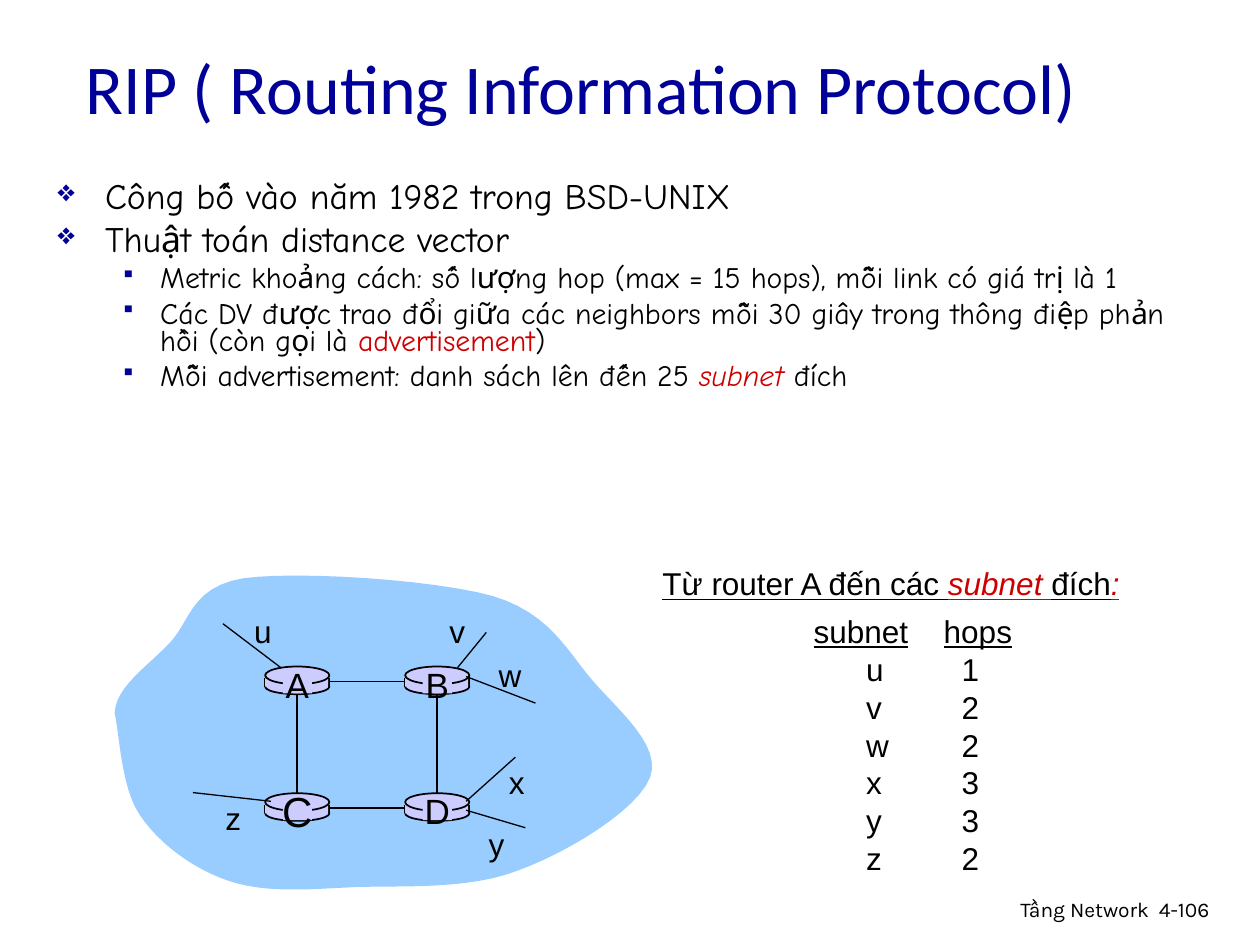
from dataclasses import dataclass
from lxml.etree import SubElement
from pptx import Presentation
from pptx.dml.color import RGBColor
from pptx.enum.shapes import MSO_CONNECTOR, MSO_SHAPE
from pptx.enum.text import MSO_ANCHOR, PP_ALIGN
from pptx.oxml.ns import qn
from pptx.util import Pt


@dataclass(frozen=True)
class Theme:
    ink: str = "000000"
    navy: str = "000099"
    red: str = "CC0000"
    cloud: str = "99CCFF"
    router: str = "CCCCFF"
    title_font: str = "Calibri"
    body_font: str = "Comic Neue"
    label_font: str = "Arial"
    footer_font: str = "Karla"
    title_size: float = 40
    body_sizes: tuple = (20.4, 17)
    label_size: float = 18
    router_size: float = 20
    footer_size: float = 12


THEME = Theme()

# Content: a run is (text, style), style "" plain, "r" red, "i" italic, "u" underlined
TITLE = "RIP ( Routing Information Protocol)"
BULLETS = [
    (0, [("Công bố vào năm 1982 trong BSD-UNIX", "")]),
    (0, [("Thuật toán distance vector", "")]),
    (1, [("Metric khoảng cách: số lượng hop (max = 15 hops), mỗi link có giá trị là 1", "")]),
    (1, [("Các DV được trao đổi giữa các neighbors mỗi 30 giây trong thông điệp "
          "phản hồi (còn gọi là ", ""), ("advertisement", "r"), (")", "")]),
    (1, [("Mỗi advertisement: danh sách lên đến 25 ", ""), ("subnet ", "ri"), ("đích", "")]),
]
HOPS_HEADING = [("Từ router A đến các ", "u"), ("subnet ", "uri"), ("đích", "u"), (":", "uri")]
HOPS_COLUMNS = ("subnet", "hops")
HOPS = [("u", 1), ("v", 2), ("w", 2), ("x", 3), ("y", 3), ("z", 2)]
FOOTER = "Tầng Network"
PAGE = "4-106"

# Network: routers by grid cell (column, row) and letter size
ROUTERS = {"A": (0, 0, THEME.router_size), "B": (1, 0, THEME.router_size),
           "C": (0, 1, 24), "D": (1, 1, THEME.router_size)}
LINKS = [("A", "B"), ("C", "D"), ("A", "C"), ("B", "D")]
# Subnet: label left and top, then the two ends of its line
SUBNETS = {
    "u": ((138.2, 346.3), (160.6, 381.6), (127.4, 356.4)),
    "v": ((249.8, 346.3), (261.4, 381.6), (277.9, 361.4)),
    "w": ((277.9, 371.5), (266.4, 386.6), (306, 401.8)),
    "x": ((283.7, 432.7), (266.4, 457.9), (294.5, 432.7)),
    "y": ((272.2, 468), (266.4, 463), (300.2, 473)),
    "z": ((121.7, 452.9), (154.8, 457.9), (110.2, 452.9)),
}
# Cloud outline: start, then cubic segments (control, control, end)
CLOUD_START = (65.5, 407.5)
CLOUD_CURVES = [
    ((66.2, 392.4), (84.2, 380.9), (96.5, 367.9)),
    ((108.7, 355.7), (108.7, 335.5), (139, 330.5)),
    ((169.9, 326.2), (247.7, 331.2), (281.5, 340.6)),
    ((314.6, 350.6), (324, 372.2), (339.1, 389.5)),
    ((354.2, 406.8), (378, 426.2), (371.5, 444.2)),
    ((364.3, 463), (324, 487.4), (295.9, 497.5)),
    ((268.6, 508.3), (231.1, 506.2), (203.8, 506.9)),
    ((175.7, 508.3), (151.2, 510.5), (130.3, 503.3)),
    ((109.4, 496.1), (90.7, 481.7), (79.9, 465.8)),
    ((69.1, 450), (68.4, 419.8), (65.5, 407.5)),
]
COLUMN_X, ROW_Y = (151.5, 231.5), (380.9, 453.3)
ROUTER_W, ROUTER_CENTRE_Y = 36.7, 10

prs = Presentation()
prs.slide_width, prs.slide_height = Pt(720), Pt(540)
slide = prs.slides.add_slide(prs.slide_layouts[6])
shapes = slide.shapes


def rgb(code):
    return RGBColor.from_string(code)


def text_frame(left, top, width, height, anchor=MSO_ANCHOR.TOP):
    frame = shapes.add_textbox(Pt(left), Pt(top), Pt(width), Pt(height)).text_frame
    frame.word_wrap = True
    frame.vertical_anchor = anchor
    return frame


def write(paragraph, runs, font, size, color=THEME.ink, align=PP_ALIGN.LEFT):
    paragraph.alignment = align
    paragraph.font.name, paragraph.font.size = font, Pt(size)
    paragraph.font.color.rgb = rgb(color)
    for text, style in runs:
        run = paragraph.add_run()
        run.text = text
        if "r" in style:
            run.font.color.rgb = rgb(THEME.red)
        if "i" in style:
            run.font.italic = True
        if "u" in style:
            run.font.underline = True


def label(text, box, font, size, **look):
    anchor = look.pop("anchor", MSO_ANCHOR.TOP)
    write(text_frame(*box, anchor).paragraphs[0], [(text, "")], font, size, **look)


def paragraphs(frame, count):
    return [frame.paragraphs[0]] + [frame.add_paragraph() for _ in range(count - 1)]


def add_bullet(paragraph, level):
    char, indent, hang, percent = (("❖", 27, 27, 85), ("▪", 58.5, 22.5, 70))[level]
    props = paragraph._p.get_or_add_pPr()
    props.set("marL", str(Pt(indent)))
    props.set("indent", str(-Pt(hang)))
    SubElement(SubElement(props, qn("a:buClr")), qn("a:srgbClr"), val=THEME.navy)
    SubElement(props, qn("a:buSzPct"), val=str(percent * 1000))
    SubElement(props, qn("a:buChar"), char=char)


def add_tabs(paragraph, stops):
    tabs = SubElement(paragraph._p.get_or_add_pPr(), qn("a:tabLst"))
    for stop in stops:
        SubElement(tabs, qn("a:tab"), pos=str(Pt(stop)), algn="l")


def paint(shape, fill, outlined=False):
    shape.shadow.inherit = False
    shape.fill.solid()
    shape.fill.fore_color.rgb = rgb(fill)
    if outlined:
        shape.line.color.rgb, shape.line.width = rgb(THEME.ink), Pt(1)
    else:
        shape.line.fill.background()


def router_part(kind, left, top, width, height, outlined=False):
    part = shapes.add_shape(kind, Pt(left), Pt(top), Pt(width), Pt(height))
    paint(part, THEME.router, outlined)


def add_line(start, end, width):
    line = shapes.add_connector(MSO_CONNECTOR.STRAIGHT, *map(Pt, (*start, *end)))
    line.line.color.rgb, line.line.width = rgb(THEME.ink), Pt(width)
    SubElement(line._element.spPr, qn("a:effectLst"))


def curve_points(start, curves, steps=12):
    for c1, c2, end in curves:
        for t in (step / steps for step in range(1, steps + 1)):
            weights = ((1 - t) ** 3, 3 * t * (1 - t) ** 2, 3 * t * t * (1 - t), t ** 3)
            yield tuple(Pt(sum(w * p[axis] for w, p in zip(weights, (start, c1, c2, end))))
                        for axis in (0, 1))
        start = end


# Footer, title and bullets
label(FOOTER, (435.6, 509, 228.2, 22.3), THEME.footer_font, THEME.footer_size,
      align=PP_ALIGN.RIGHT)
label(PAGE, (655.2, 509, 53.3, 21.6), THEME.footer_font, THEME.footer_size)
label(TITLE, (41.8, 12.2, 643.7, 74.2), THEME.title_font, THEME.title_size,
      color=THEME.navy, anchor=MSO_ANCHOR.MIDDLE)
body = text_frame(25.9, 101.5, 658.8, 133.2)
for index, (paragraph, (level, runs)) in enumerate(zip(paragraphs(body, len(BULLETS)), BULLETS)):
    paragraph.level, paragraph.line_spacing = level, 0.75
    if index:
        paragraph.space_before = Pt((6, 5)[level])
    add_bullet(paragraph, level)
    write(paragraph, runs, THEME.body_font, THEME.body_sizes[level])

# Cloud
outline = shapes.build_freeform(*map(Pt, CLOUD_START))
outline.add_line_segments(curve_points(CLOUD_START, CLOUD_CURVES), close=True)
paint(outline.convert_to_shape(), THEME.cloud)

# Router discs
corners = {name: (COLUMN_X[col], ROW_Y[row]) for name, (col, row, _) in ROUTERS.items()}
for x, y in corners.values():
    router_part(MSO_SHAPE.OVAL, x, y + 7.2, ROUTER_W, 8.6, True)
    for side in (x, x + ROUTER_W):
        add_line((side, y + 6.5), (side, y + 11.5), 1)
    router_part(MSO_SHAPE.RECTANGLE, x, y + 6.5, 36, 5)
    router_part(MSO_SHAPE.OVAL, x, y, ROUTER_W, 10.1, True)

# Links between routers
for first, second in LINKS:
    (x1, y1), (x2, y2) = corners[first], corners[second]
    if y1 == y2:
        add_line((x1 + ROUTER_W, y1 + 8.6), (x2, y2 + 8.6), 1)
    else:
        middle = x1 + ROUTER_W / 2
        add_line((middle, y1 + 16.2), (middle, y2), 1)

# Router letters on plain patches
for name, (x, y) in corners.items():
    router_part(MSO_SHAPE.RECTANGLE, x + 10.1, y + 1.4, 16.6, 14)
    label(name, (x + ROUTER_W / 2 - 16, y + ROUTER_CENTRE_Y - 18, 32, 36),
          THEME.label_font, ROUTERS[name][2], align=PP_ALIGN.CENTER, anchor=MSO_ANCHOR.MIDDLE)

# Subnets
for name, (corner, start, end) in SUBNETS.items():
    add_line(start, end, 0.75)
    label(name, (*corner, 28, 28.8), THEME.label_font, THEME.label_size)

# Hop counts from router A
hop_rows = [([(HOPS_COLUMNS[0], "u"), ("\t", ""), (HOPS_COLUMNS[1], "u")], (74.3,))]
hop_rows += [([(f"\t{subnet}\t{hops}", "")], (30, 84.5)) for subnet, hops in HOPS]
hop_list = text_frame(457.9, 346.3, 150, 180)
for paragraph, (runs, stops) in zip(paragraphs(hop_list, len(hop_rows)), hop_rows):
    add_tabs(paragraph, stops)
    write(paragraph, runs, THEME.label_font, THEME.label_size)
heading = text_frame(371.5, 319, 285, 28.8)
write(heading.paragraphs[0], HOPS_HEADING, THEME.label_font, THEME.label_size)

prs.save("out.pptx")
